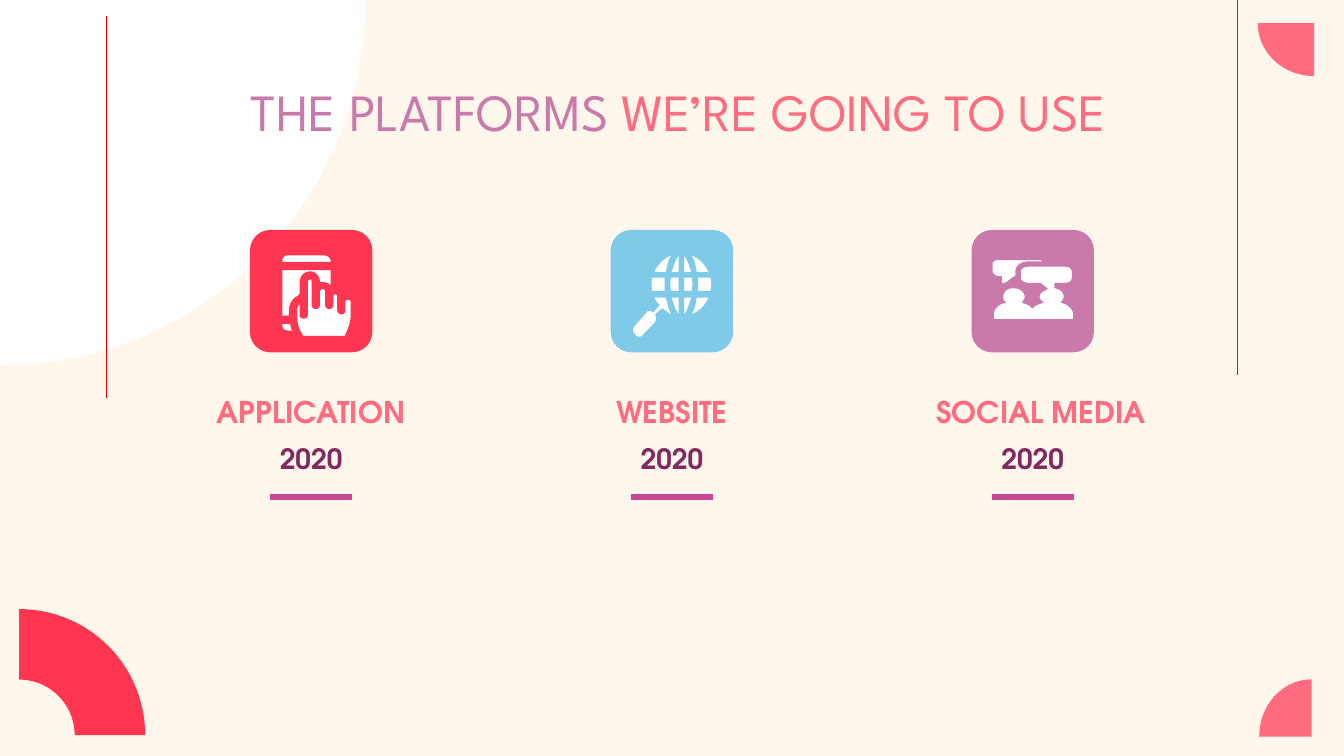
from dataclasses import dataclass
from math import cos, radians, sin

from lxml import etree
from pptx import Presentation
from pptx.dml.color import RGBColor
from pptx.enum.shapes import MSO_CONNECTOR, MSO_SHAPE
from pptx.enum.text import MSO_ANCHOR, MSO_AUTO_SIZE, PP_ALIGN
from pptx.oxml.ns import qn
from pptx.util import Pt

STRAIGHT = MSO_CONNECTOR.STRAIGHT
ROUNDED = MSO_SHAPE.ROUNDED_RECTANGLE
TOP, MIDDLE = MSO_ANCHOR.TOP, MSO_ANCHOR.MIDDLE
CENTER = PP_ALIGN.CENTER
NO_AUTOSIZE = MSO_AUTO_SIZE.NONE
TITLE_ONLY = 5


@dataclass(frozen=True)
class Theme:
    cream: str = "FFF7EC"
    white: str = "FFFFFF"
    coral: str = "FF6B7F"
    red: str = "FF3651"
    rule_red: str = "FF0000"
    mauve: str = "C979AA"
    blue: str = "80CAE9"
    plum: str = "812A5F"
    magenta: str = "C94896"
    title_font: str = "League Spartan"
    body_font: str = "TeX Gyre Adventor"
    title_size: float = 28
    heading_size: float = 16
    year_size: float = 15


@dataclass(frozen=True)
class Wedge:
    """Quarter disc or ring around its corner, angles clockwise from the right."""
    x: float
    y: float
    rx: float
    ry: float
    start: int
    color: str
    hole: float = 0


@dataclass(frozen=True)
class Platform:
    heading: str
    year: str
    color: str
    outlines: list
    outline_width: float
    heading_width: float = 126.7


THEME = Theme()
PITCH = 193.3      # distance between column centres
GRID = 0.72        # icon outlines are drawn on a grid of 0.72 pt


def outline(segments: str) -> list:
    """Points of an outline: two numbers are a line, six a Bezier curve."""
    points = []
    for segment in segments.split():
        n = [float(value) for value in segment.split(",")]
        if len(n) == 2:
            points.append((n[0], n[1]))
            continue
        p = [points[-1], *zip(n[::2], n[1::2])]
        for step in range(1, 9):
            t = step / 8
            weights = ((1 - t) ** 3, 3 * t * (1 - t) ** 2, 3 * t * t * (1 - t), t ** 3)
            points.append(tuple(sum(w * q[axis] for w, q in zip(weights, p)) for axis in (0, 1)))
    return points


def mirror(points: list, x: float = None, y: float = None) -> list:
    return [(px if x is None else 2 * x - px, py if y is None else 2 * y - py) for px, py in points]


# Phone with a tapping hand
PHONE = [outline(segments) for segments in (
    "209,240 209,242 209,245,211,247,214,247 219,247 218,245,217,243,217,240",
    "209,200 209,236 216,236 216,231 216,227,218,223,222,221 224,219 224,210 "
    "224,206,227,203,231,203 234,203,237,206,237,210 237,211 238,211,239,211,240,211 "
    "243,211,245,212,246,215 247,215 247,200",
    "214,189 211,189,209,191,209,194 209,196 247,196 247,194 247,191,244,189,241,189",
    "231,207 229,207,228,208,228,210 228,234 228,236,227,236,226,236 225,236,224,236,224,234 "
    "224,224 222,225,220,228,220,231 220,234 220,240,221,245,224,249 224,250,225,251,226,251 "
    "256,251 257,251,258,250,258,249 260,245,262,240,262,234 262,224 262,223,260,222,259,222 "
    "257,222,256,223,256,224 256,231 256,232,255,233,254,233 253,233,252,232,252,231 252,221 "
    "252,219,251,218,249,218 248,218,247,219,247,221 247,227 247,228,246,229,245,229 "
    "244,229,243,228,243,227 243,217 243,216,242,214,240,214 238,214,237,216,237,217 237,227 "
    "237,228,236,229,235,229 234,229,233,228,233,227 233,210 233,208,232,207,231,207",
)]

# Globe mirrored about its centre, with a magnifier handle at lower left
GLOBE_X, GLOBE_Y = 507, 212
RIM_TOP, CORE_TOP, RIM_BAND, CORE_BAND = [outline(segments) for segments in (
    "501,189 494,191,489,196,486,203 496,203 497,197,498,192,501,189",
    "505.5,189 503,191,501,196,499,203 505.5,203",
    "485,206 484,210,484,214,485,217 495,217 495,213,495,210,495,206",
    "499,206 498,210,498,213,499,217 505.5,217 505.5,206",
)]
HANDLE = outline(
    "486,221 487,223,488,225,490,227 486,232 485,231,484,231,483,231 482,231,481,231,480,233 "
    "472,242 470,244,470,247,472,249 473,251,474,251,476,251 477,251,478,251,479,249 487,241 "
    "489,239,489,236,488,234 493,230 495,232,498,234,501,235 498,231,497,226,496,221")
GLOBE = [RIM_TOP, CORE_TOP, RIM_BAND, CORE_BAND]
GLOBE += [mirror(piece, x=GLOBE_X) for piece in GLOBE]
GLOBE += [HANDLE, mirror(CORE_TOP, y=GLOBE_Y)]
GLOBE += [mirror(piece, GLOBE_X, GLOBE_Y) for piece in (RIM_TOP, CORE_TOP)]

# Two people with speech bubbles
PEOPLE = [outline(segments) for segments in (
    "743,193 741,193,738,194,738,196 738,202 738,204,741,206,743,206 745,206 745,210 "
    "745,211,746,211,747,211 748,211 755,206 756,206 756,202 756,198,760,195,765,195 776,195 "
    "776,193,774,193,772,193",
    "765,198 762,198,759,200,759,202 759,207 759,209,762,211,765,211 774,211 779,215 "
    "776,216,773,218,773,221 773,222,774,224,776,225 772,226,770,227,768,229 "
    "767,227,764,226,761,225 762,224,763,222,763,221 763,217,759,214,754,214 "
    "749,214,746,217,746,221 746,222,746,224,748,225 742,226,739,230,739,234 739,237 "
    "739,238,739,238,740,238 797,238 798,238,799,238,799,237 799,234 799,230,795,226,790,225 "
    "791,224,792,222,792,221 792,217,789,215,785,214 785,211 793,211 796,211,798,209,798,207 "
    "798,202 798,200,796,198,793,198",
)]

PLATFORMS = [
    Platform("APPLICATION", "2020", THEME.red, PHONE, 1.5),
    Platform("WEBSITE", "2020", THEME.blue, GLOBE, 0.75),
    Platform("SOCIAL MEDIA", "2020", THEME.mauve, PEOPLE, 0.75, 135.4),
]
WEDGES = [
    Wedge(0, 0, 195.8, 195.8, 0, THEME.white),
    Wedge(702.7, 394.6, 28.1, 30.6, 180, THEME.coral),
    Wedge(704, 12.4, 30.2, 28.4, 90, THEME.coral),
    Wedge(10.3, 393.8, 67.5, 67.5, 270, THEME.red, hole=0.44),
]


def rgb(color: str) -> RGBColor:
    return RGBColor.from_string(color)


def paint(shape, fill: str, line: str = None, width: float = 0) -> None:
    shape.shadow.inherit = False
    shape.fill.solid()
    shape.fill.fore_color.rgb = rgb(fill)
    if line:
        shape.line.color.rgb = rgb(line)
        shape.line.width = Pt(width)
    else:
        shape.line.fill.background()


def add_outline(shapes, points: list, unit: float = 1):
    corners = [(Pt(x * unit), Pt(y * unit)) for x, y in points]
    builder = shapes.build_freeform(*corners[0])
    builder.add_line_segments(corners[1:], close=True)
    return builder.convert_to_shape()


def add_wedge(shapes, wedge: Wedge) -> None:
    def arc(scale: float) -> list:
        angles = [radians(wedge.start + 3 * step) for step in range(31)]
        return [(wedge.x + scale * wedge.rx * cos(a), wedge.y + scale * wedge.ry * sin(a)) for a in angles]

    inner = arc(wedge.hole)[::-1] if wedge.hole else [(wedge.x, wedge.y)]
    paint(add_outline(shapes, arc(1) + inner), wedge.color)


def add_rule(shapes, x1: float, y1: float, x2: float, y2: float, color: str, width: float) -> None:
    rule = shapes.add_connector(STRAIGHT, Pt(x1), Pt(y1), Pt(x2), Pt(y2))
    rule.line.color.rgb = rgb(color)
    rule.line.width = Pt(width)
    etree.SubElement(rule._element.spPr, qn("a:effectLst"))


def write(shape, runs: list, font: str, size: float, bold: bool, anchor) -> None:
    frame = shape.text_frame
    frame.word_wrap, frame.auto_size, frame.vertical_anchor = True, NO_AUTOSIZE, anchor
    frame.margin_left = frame.margin_right = frame.margin_top = frame.margin_bottom = Pt(7.2)
    paragraph = frame.paragraphs[0]
    paragraph.alignment = CENTER
    for text, color in runs:
        run = paragraph.add_run()
        run.text = text
        run.font.name, run.font.size, run.font.bold = font, Pt(size), bold
        run.font.color.rgb = rgb(color)


def add_platform(shapes, platform: Platform, center: float) -> None:
    # Tile and icon
    tile = shapes.add_shape(ROUNDED, Pt(center - 32.8), Pt(123.2), Pt(65.6), Pt(65.6))
    tile.adjustments[0] = 0.167
    paint(tile, platform.color)
    icon = shapes.add_group_shape()
    for points in platform.outlines:
        paint(add_outline(icon.shapes, points, GRID), THEME.white, platform.color, platform.outline_width)
    # Heading, year and underline
    left = Pt(center - 63.35)
    heading = shapes.add_textbox(left, Pt(209.5), Pt(platform.heading_width), Pt(21.6))
    write(heading, [(platform.heading, THEME.coral)], THEME.body_font, THEME.heading_size, True, MIDDLE)
    year = shapes.add_textbox(left, Pt(230.4), Pt(126.7), Pt(30.2))
    write(year, [(platform.year, THEME.plum)], THEME.body_font, THEME.year_size, True, MIDDLE)
    add_rule(shapes, center - 21.8, 266.4, center + 21.8, 266.4, THEME.magenta, 3)


def main() -> None:
    deck = Presentation()
    deck.slide_width, deck.slide_height = Pt(720), Pt(405)
    slide = deck.slides.add_slide(deck.slide_layouts[TITLE_ONLY])
    slide.background.fill.solid()
    slide.background.fill.fore_color.rgb = rgb(THEME.cream)
    shapes = slide.shapes

    # Corner decorations
    for wedge in WEDGES:
        add_wedge(shapes, wedge)

    # Title, in front of the white corner
    title = shapes.title
    shapes._spTree.append(title._element)
    title.left, title.top, title.width, title.height = Pt(24.5), Pt(35.3), Pt(671), Pt(45.4)
    title_runs = [(" THE PLATFORMS ", THEME.mauve), ("WE’RE GOING TO USE", THEME.coral)]
    write(title, title_runs, THEME.title_font, THEME.title_size, False, TOP)

    # Platform columns
    for column, platform in enumerate(PLATFORMS):
        add_platform(shapes, platform, 360 + PITCH * (column - 1))

    # Side rules
    for x, top in ((56.9, 8.6), (663.1, -3.6)):
        add_rule(shapes, x, top, x, top + 204.5, THEME.rule_red, 0.75)

    deck.save("out.pptx")


if __name__ == "__main__":
    main()
